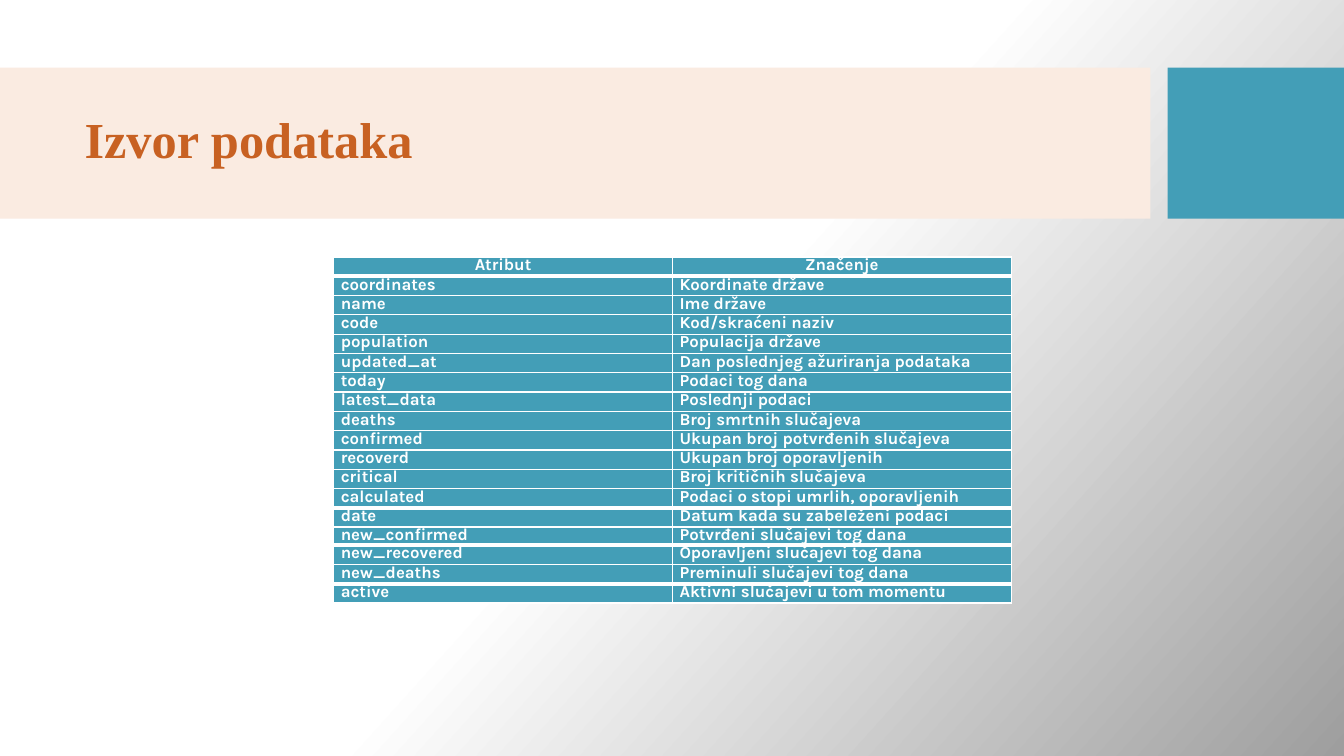
import copy

import pptx
import pptx.dml.color
import pptx.enum.shapes
import pptx.enum.text
import pptx.oxml
import pptx.oxml.ns
import pptx.util

Inches, Pt = pptx.util.Inches, pptx.util.Pt

COLORS = {
    "white": "FFFFFF",
    "grey": "9E9E9E",
    "cream": "FAEBE1",
    "teal": "439EB7",
    "orange": "C86122",
}
TABLE_LEFT, COLUMN_WIDTH, ROW_HEIGHT = 3.31, 3.36, 2.68 / 14

ATTRIBUTES = [
    ("Atribut", "Značenje"),
    ("coordinates", "Koordinate države"),
    ("name", "Ime države"),
    ("code", "Kod/skraćeni naziv"),
    ("population", "Populacija države"),
    ("updated_at", "Dan poslednjeg ažuriranja podataka"),
    ("today", "Podaci tog dana"),
    ("latest_data", "Poslednji podaci"),
    ("deaths", "Broj smrtnih slučajeva"),
    ("confirmed", "Ukupan broj potvrđenih slučajeva"),
    ("recoverd", "Ukupan broj oporavljenih"),
    ("critical", "Broj kritičnih slučajeva"),
    ("calculated", "Podaci o stopi umrlih, oporavljenih"),
    ("date", "Datum kada su zabeleženi podaci"),
]
DAILY_ATTRIBUTES = [
    ("new_confirmed", "Potvrđeni slučajevi tog dana"),
    ("new_recovered", "Oporavljeni slučajevi tog dana"),
    ("new_deaths", "Preminuli slučajevi tog dana"),
    ("active", "Aktivni slučajevi u tom momentu"),
]


def rgb(name):
    return pptx.dml.color.RGBColor.from_string(COLORS[name])


class SlideBuilder:
    def __init__(self, prs):
        self.s = prs.slides.add_slide(prs.slide_layouts[6])

    def background(self):
        """White up to the middle, then fading to grey at the lower right."""
        fill = self.s.background.fill
        fill.gradient()
        fill.gradient_angle = 360 - 42
        first = fill.gradient_stops[0]
        first.color.rgb = rgb("white")
        fill.gradient_stops[1].color.rgb = rgb("grey")
        stops = self.s.background._cSld.find(".//" + pptx.oxml.ns.qn("a:gsLst"))
        stops.insert(1, copy.deepcopy(stops[0]))
        for stop, position in zip(fill.gradient_stops, (0, 0.5, 1)):
            stop.position = position

    def block(self, left, top, width, height, color):
        sp = self.s.shapes.add_shape(
            pptx.enum.shapes.MSO_SHAPE.RECTANGLE,
            Inches(left), Inches(top), Inches(width), Inches(height))
        sp.shadow.inherit = False
        sp.fill.solid()
        sp.fill.fore_color.rgb = rgb(color)
        sp.line.fill.background()

    def run(self, p, text, font, size, color):
        r = p.add_run()
        r.text = text
        r.font.name = font
        r.font.size = Pt(size)
        r.font.bold = True
        r.font.color.rgb = rgb(color)

    def title(self, text, left, top, width, height):
        tf = self.s.shapes.add_textbox(
            Inches(left), Inches(top), Inches(width), Inches(height)).text_frame
        tf.word_wrap = True
        tf.vertical_anchor = pptx.enum.text.MSO_ANCHOR.MIDDLE
        p = tf.paragraphs[0]
        p.line_spacing = 0.9
        self.run(p, text, "Times New Roman", 36, "orange")

    def borders(self, cell, top, bottom):
        """White cell borders; top and bottom are widths in points."""
        tcPr = cell._tc.get_or_add_tcPr()
        for i, (side, width) in enumerate(
                (("L", 1), ("R", 1), ("T", top), ("B", bottom))):
            tcPr.insert(i, pptx.oxml.parse_xml(
                f'<a:ln{side} {pptx.oxml.ns.nsdecls("a")} w="{Pt(width)}">'
                f'<a:solidFill><a:srgbClr val="{COLORS["white"]}"/></a:solidFill>'
                f'</a:ln{side}>'))

    def cell(self, cell, text, heading):
        cell.margin_left = cell.margin_right = 0
        cell.margin_top = cell.margin_bottom = 0
        cell.fill.solid()
        cell.fill.fore_color.rgb = rgb("teal")
        p = cell.text_frame.paragraphs[0]
        p.line_spacing = Pt(12.8)
        pPr = p._p.get_or_add_pPr()
        if heading:
            p.alignment = pptx.enum.text.PP_ALIGN.CENTER
        else:
            pPr.set("marL", str(Inches(0.07)))
        self.run(p, text, "Karla", 12, "white")

    def table(self, rows, top, first_height=ROW_HEIGHT, heading=False):
        """Two columns, with thick rules after the first and before the last row."""
        count = len(rows)
        table = self.s.shapes.add_table(
            count, 2, Inches(TABLE_LEFT), Inches(top),
            Inches(2 * COLUMN_WIDTH), Inches(count * ROW_HEIGHT)).table
        table.first_row = heading
        table.horz_banding = False
        table.rows[0].height = Inches(first_height)
        for i, texts in enumerate(rows):
            above = 3 if i in (1, count - 1) else 1
            below = 3 if i in (0, count - 2) else 1
            for j, text in enumerate(texts):
                cell = table.cell(i, j)
                self.cell(cell, text, heading and i == 0)
                self.borders(cell, above, below)


def main():
    prs = pptx.Presentation()
    prs.slide_width, prs.slide_height = Inches(13.33), Inches(7.5)
    builder = SlideBuilder(prs)
    builder.background()
    builder.block(0, 0.67, 11.41, 1.5, "cream")
    builder.block(11.58, 0.67, 1.75, 1.5, "teal")
    builder.title("Izvor podataka", 0.74, 0.82, 10.51, 1.18)
    builder.table(ATTRIBUTES, 2.55, heading=True)
    builder.table(DAILY_ATTRIBUTES, 5.23, first_height=0.1)
    prs.save("out.pptx")


if __name__ == "__main__":
    main()
